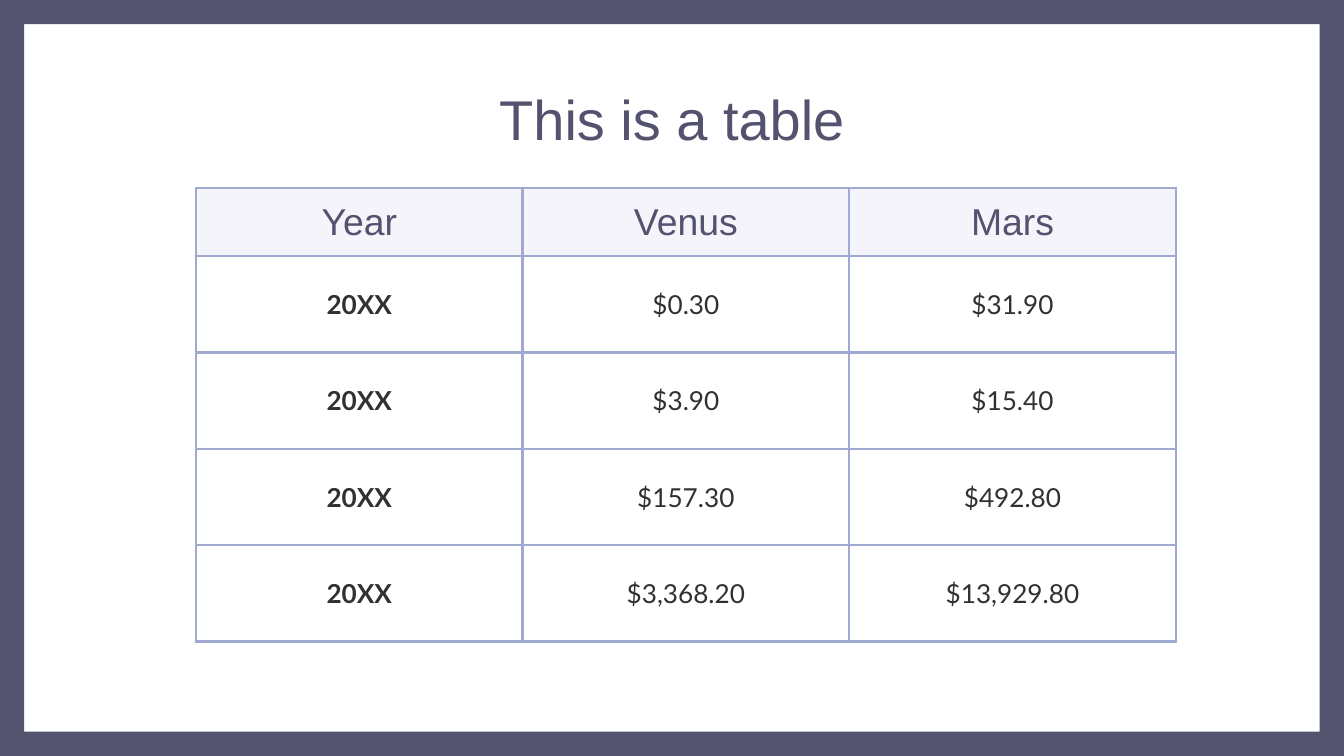
import pptx
import pptx.util
import pptx.dml.color
import pptx.enum.shapes
import pptx.enum.text
import pptx.oxml
import pptx.oxml.ns

Pt = pptx.util.Pt
RGBColor = pptx.dml.color.RGBColor
CENTER = pptx.enum.text.PP_ALIGN.CENTER
ANCHOR = pptx.enum.text.MSO_ANCHOR

PURPLE = RGBColor(0x53, 0x52, 0x6F)
LILAC = RGBColor(0xDA, 0xD6, 0xF0)
BORDER = RGBColor(0xA0, 0xA9, 0xD1)
INK = RGBColor(0x31, 0x31, 0x33)
WHITE = RGBColor(0xFF, 0xFF, 0xFF)

ROWS = [
    ("Year", "Venus", "Mars"),
    ("20XX", "$0.30", "$31.90"),
    ("20XX", "$3.90", "$15.40"),
    ("20XX", "$157.30", "$492.80"),
    ("20XX", "$3,368.20", "$13,929.80"),
]
HEAD, BODY, COL = 36.5, 51.6, 175
PAD = Pt(7.2)


def style(par, name, size, color, bold=False):
    par.alignment = CENTER
    par.font.name = name
    par.font.size = Pt(size)
    par.font.color.rgb = color
    par.font.bold = bold


def border(cell):
    """Draw all four sides; call before the cell is filled."""
    for side in ("L", "R", "T", "B"):
        cell._tc.get_or_add_tcPr().append(pptx.oxml.parse_xml(
            f'<a:ln{side} {pptx.oxml.ns.nsdecls("a")} w="{Pt(1.5)}">'
            f'<a:solidFill><a:srgbClr val="{BORDER}"/></a:solidFill>'
            f'</a:ln{side}>'))


prs = pptx.Presentation()
prs.slide_width, prs.slide_height = Pt(720), Pt(405)
slide = prs.slides.add_slide(prs.slide_layouts[5])
slide.background.fill.solid()
slide.background.fill.fore_color.rgb = WHITE

frame = slide.shapes.add_shape(
    pptx.enum.shapes.MSO_SHAPE.FRAME, 0, 0, Pt(720), Pt(405))
frame.adjustments[0] = 0.032
frame.shadow.inherit = False
frame.fill.solid()
frame.fill.fore_color.rgb = PURPLE
frame.line.fill.background()

title = slide.shapes.title
title.left, title.top = Pt(56.7), Pt(35.4)
title.width, title.height = Pt(606.6), Pt(45.1)
text = title.text_frame
text.text = "This is a table"
text.auto_size = pptx.enum.text.MSO_AUTO_SIZE.NONE
text.vertical_anchor = ANCHOR.TOP
text.margin_left = text.margin_right = text.margin_bottom = PAD
text.margin_top = Pt(9.8)
style(text.paragraphs[0], "Arial", 30, PURPLE)

table = slide.shapes.add_table(
    len(ROWS), 3, Pt(105), Pt(100.8), Pt(3 * COL), Pt(HEAD + 4 * BODY)).table
for col in table.columns:
    col.width = Pt(COL)
for r, row in enumerate(ROWS):
    head = r == 0
    table.rows[r].height = Pt(HEAD if head else BODY)
    for c, value in enumerate(row):
        cell = table.cell(r, c)
        cell.text = value
        cell.vertical_anchor = ANCHOR.MIDDLE
        cell.margin_left = cell.margin_right = PAD
        cell.margin_top = cell.margin_bottom = Pt(6.5) if head else PAD
        border(cell)
        cell.fill.solid()
        cell.fill.fore_color.rgb = LILAC if head else WHITE
        par = cell.text_frame.paragraphs[0]
        if head:
            style(par, "Arial", 20, PURPLE)
            tint = cell._tc.tcPr.find(
                "/".join(map(pptx.oxml.ns.qn, ("a:solidFill", "a:srgbClr"))))
            tint.append(pptx.oxml.parse_xml(
                f'<a:alpha {pptx.oxml.ns.nsdecls("a")} val="26000"/>'))
        else:
            style(par, "Lato", 14, INK, bold=c == 0)

prs.save("out.pptx")
